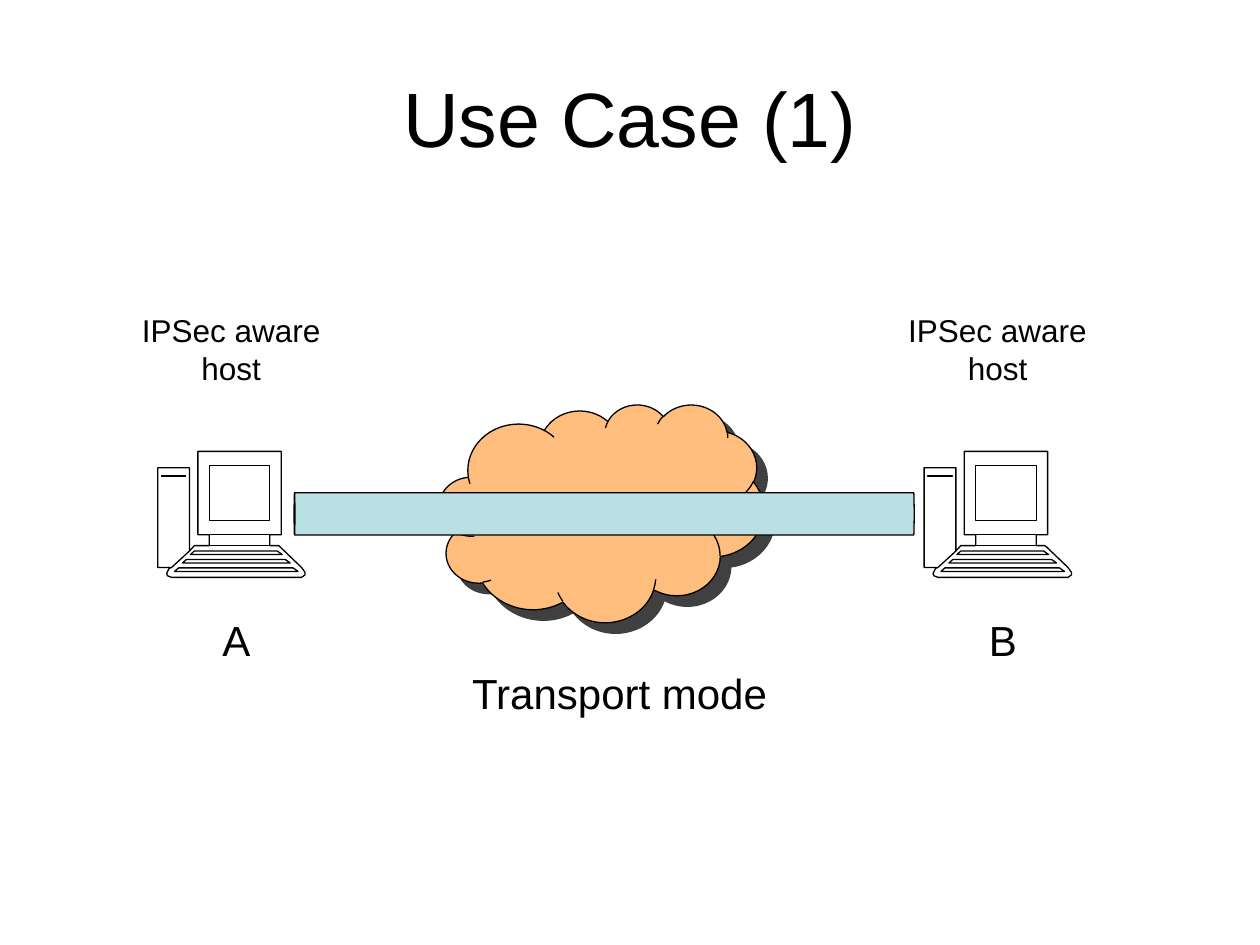
from lxml import etree
from pptx import Presentation
from pptx.dml.color import RGBColor
from pptx.enum.shapes import MSO_SHAPE
from pptx.enum.text import MSO_ANCHOR, PP_ALIGN
from pptx.oxml.ns import qn
from pptx.util import Cm, Pt

CLOUD, CAN = MSO_SHAPE.CLOUD, MSO_SHAPE.CAN
CENTER, MIDDLE = PP_ALIGN.CENTER, MSO_ANCHOR.MIDDLE
BLACK, ORANGE, AQUA = "000000", "FFBE7D", "BBE0E3"

CASE_AND_KEYBOARD = [
    (0.64, 2.01), (0.74, 1.9), (1.04, 1.9), (1.04, 1.68), (0.81, 1.68),
    (0.81, 0), (2.49, 0), (2.49, 1.68), (2.26, 1.68), (2.26, 1.9),
    (2.44, 1.9), (2.9, 2.34), (2.97, 2.44), (2.97, 2.49), (2.9, 2.54),
    (0.28, 2.54), (0.2, 2.51), (0.18, 2.46), (0.23, 2.36), (0.28, 2.34),
    (0, 2.34), (0, 0.33), (0.64, 0.33), (0.64, 2.01), (0.28, 2.34),
]


def color(value):
    """Turn a hex string into a colour."""
    return RGBColor.from_string(value)


def format_text(text_frame, text, size):
    """Write one centred paragraph in black Arial."""
    text_frame.text = text
    paragraph = text_frame.paragraphs[0]
    paragraph.alignment = CENTER
    for name, value in {"name": "Arial", "size": Pt(size)}.items():
        setattr(paragraph.font, name, value)
    paragraph.font.color.rgb = color(BLACK)


def add_label(slide, text, size, left, top, width, height):
    """Add a wrapped, centred text box."""
    box = slide.shapes.add_textbox(Cm(left), Cm(top), Cm(width), Cm(height))
    box.text_frame.word_wrap = True
    format_text(box.text_frame, text, size)


def format_shape(shape, fill=None):
    """Give a shape a thin black line, no shadow and an optional fill."""
    shape.shadow.inherit = False
    shape.line.color.rgb = color(BLACK)
    shape.line.width = Pt(0.75)
    if fill:
        shape.fill.solid()
        shape.fill.fore_color.rgb = color(fill)
    else:
        shape.fill.background()


def rectangle(left, top, right, bottom):
    """Return the corners of a closed rectangle."""
    return [(left, top), (right, top), (right, bottom), (left, bottom), (left, top)]


def key_row(index):
    """Return the closed outline of one keyboard row."""
    spread, drop = 0.16 * index, 0.17 * index
    return [
        (2.51 + spread, 2.08 + drop), (2.41 + spread, 2.01 + drop),
        (0.74 - spread, 2.01 + drop), (0.66 - spread, 2.08 + drop),
        (2.51 + spread, 2.08 + drop),
    ]


def add_computer(slide, left, top):
    """Draw a desktop computer in outline from the given corner."""
    screen = rectangle(1.04, 0.28, 2.26, 1.4)
    slot = rectangle(0.08, 0.48, 0.56, 0.51)
    neck = rectangle(1.04, 1.68, 2.26, 1.9)
    key_rows = [key_row(index) for index in range(3)]
    first_x, first_y = CASE_AND_KEYBOARD[0]
    builder = slide.shapes.build_freeform(Cm(first_x), Cm(first_y))
    for outline in [CASE_AND_KEYBOARD, screen, slot, neck, *key_rows]:
        points = [(Cm(x), Cm(y)) for x, y in outline]
        builder.move_to(*points[0])
        builder.add_line_segments(points[1:], close=False)
    format_shape(builder.convert_to_shape(Cm(left), Cm(top)))


def add_host(slide, name, left, top):
    """Place a host: caption, computer and letter."""
    add_label(slide, "IPSec aware host", 18, left, top, 4.24, 1.78)
    add_computer(slide, left + 0.64, top + 2.95)
    add_label(slide, name, 24, left + 1.27, top + 6.12, 1.91, 1.27)


def add_cast_shadow(shape):
    """Cast a sharp shadow to the lower right."""
    effects = shape.element.spPr.find(qn("a:effectLst"))
    shadow = etree.SubElement(
        effects, qn("a:outerShdw"), blurRad="0", dist=str(Pt(8.5)),
        dir="2700000", algn="ctr", rotWithShape="0")
    shade = etree.SubElement(shadow, qn("a:srgbClr"), val=BLACK)
    etree.SubElement(shade, qn("a:alpha"), val="75000")


def add_network(slide, left, top):
    """Place the cloud, the tunnel through it and the mode caption."""
    cloud = slide.shapes.add_shape(
        CLOUD, Cm(left + 2.92), Cm(top), Cm(6.55), Cm(4.39))
    format_shape(cloud, ORANGE)
    add_cast_shadow(cloud)

    length, thickness = 12.5, 0.85
    tunnel = slide.shapes.add_shape(
        CAN, Cm(left + (length - thickness) / 2),
        Cm(top + 2.21 - length / 2), Cm(thickness), Cm(length))
    tunnel.rotation = 270
    tunnel.adjustments[0] = 0.02
    format_shape(tunnel, AQUA)
    add_label(slide, "Transport mode", 24, left + 2.75, top + 5.18, 7.62, 1.27)


def add_title(slide, left, top, width, height):
    """Place and format the title."""
    title = slide.shapes.title
    box = {"left": left, "top": top, "width": width, "height": height}
    for name, value in box.items():
        setattr(title, name, Cm(value))
    title.text_frame.vertical_anchor = MIDDLE
    format_text(title.text_frame, "Use Case (1)", 44)


def main():
    """Build the slide and save it."""
    presentation = Presentation()
    presentation.slide_width, presentation.slide_height = Cm(25.4), Cm(19.05)
    slide = presentation.slides.add_slide(presentation.slide_layouts[5])
    add_title(slide, 1.27, 0.76, 22.86, 3.18)
    for index, name in enumerate("AB"):
        add_host(slide, name, 2.54 + 15.45 * index, 6.15)
    add_network(slide, 5.93, 8.15)
    presentation.save("out.pptx")


if __name__ == "__main__":
    main()
